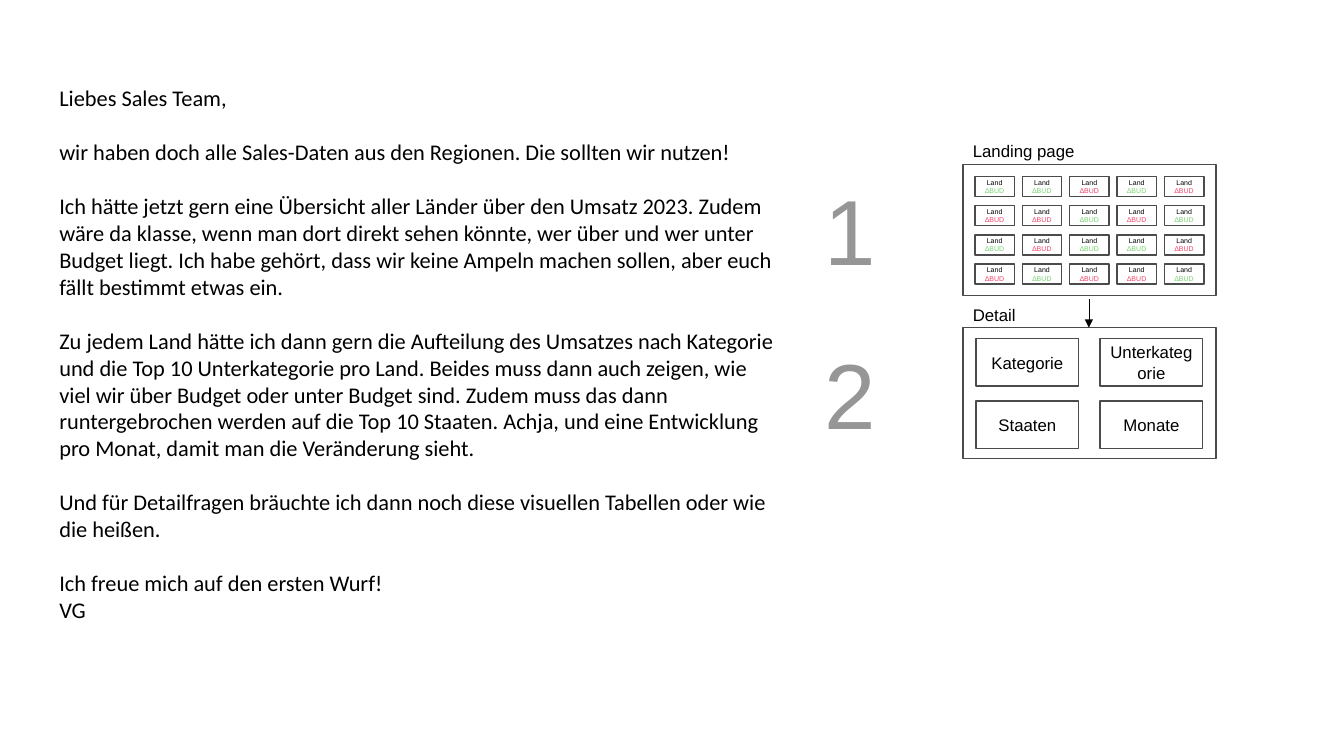
from dataclasses import dataclass

from lxml.etree import SubElement
from pptx import Presentation
from pptx.dml.color import RGBColor
from pptx.enum.shapes import MSO_CONNECTOR, MSO_SHAPE
from pptx.enum.text import MSO_ANCHOR, MSO_AUTO_SIZE as AutoSize, PP_ALIGN
from pptx.oxml.ns import qn
from pptx.shapes.shapetree import GroupShapes
from pptx.slide import Slide
from pptx.text.text import _Paragraph as Paragraph
from pptx.util import Inches, Pt

BLACK = RGBColor(0x00, 0x00, 0x00)
NUMBER_GREY = RGBColor(0x96, 0x96, 0x96)
FRAME_GREY = RGBColor(0x4B, 0x4B, 0x4B)
OVER_BUDGET = RGBColor(0x77, 0xD3, 0x6F)
UNDER_BUDGET = RGBColor(0xF2, 0x42, 0x69)

LETTER = [
    ["Liebes Sales Team,"],
    ["wir haben doch alle Sales-Daten aus den Regionen. Die sollten wir nutzen!"],
    ["Ich hätte jetzt gern eine Übersicht aller Länder über den Umsatz 2023. Zudem "
     "wäre da klasse, wenn man dort direkt sehen könnte, wer über und wer unter "
     "Budget liegt. Ich habe gehört, dass wir keine Ampeln machen sollen, aber euch "
     "fällt bestimmt etwas ein."],
    ["Zu jedem Land hätte ich dann gern die Aufteilung des Umsatzes nach Kategorie "
     "und die Top 10 Unterkategorie pro Land. Beides muss dann auch zeigen, wie "
     "viel wir über Budget oder unter Budget sind. Zudem muss das dann "
     "runtergebrochen werden auf die Top 10 Staaten. Achja, und eine Entwicklung "
     "pro Monat, damit man die Veränderung sieht."],
    ["Und für Detailfragen bräuchte ich dann noch diese visuellen Tabellen oder wie "
     "die heißen."],
    ["Ich freue mich auf den ersten Wurf!", "VG"],
]
COUNTRY_ROWS = ["++-+-", "--+-+", "+-++-", "-+--+"]
DETAIL_ROWS = [["Kategorie", "Unterkategorie"], ["Staaten", "Monate"]]


@dataclass(frozen=True)
class Piece:
    text: str
    size: float
    color: RGBColor = BLACK
    font: str = "Arial"


@dataclass(frozen=True)
class Area:
    left: float
    top: float
    width: float
    height: float

    def emu(self) -> list[int]:
        return [Inches(v) for v in (self.left, self.top, self.width, self.height)]


@dataclass(frozen=True)
class Page:
    number: str
    number_area: Area
    title: str
    title_area: Area
    frame: Area


LANDING = Page("1", Area(8.08, 1.67, 0.72, 1.21),
               "Landing page", Area(9.55, 1.35, 1.22, 0.3), Area(9.55, 1.63, 2.51, 1.3))
DETAIL = Page("2", Area(8.08, 3.3, 0.72, 1.21),
              "Detail", Area(9.55, 2.97, 0.63, 0.3), Area(9.55, 3.25, 2.51, 1.3))


def add_piece(paragraph: Paragraph, piece: Piece) -> None:
    run = paragraph.add_run()
    run.text = piece.text
    run.font.size = Pt(piece.size)
    run.font.name = piece.font
    run.font.color.rgb = piece.color


def add_label(shapes: GroupShapes, area: Area, piece: Piece) -> None:
    frame = shapes.add_textbox(*area.emu()).text_frame
    frame.word_wrap = False
    frame.auto_size = AutoSize.SHAPE_TO_FIT_TEXT
    add_piece(frame.paragraphs[0], piece)


def add_box(shapes: GroupShapes, area: Area, lines: list[Piece], inset: float = 0.1) -> None:
    box = shapes.add_shape(MSO_SHAPE.RECTANGLE, *area.emu())
    box.shadow.inherit = False
    box.fill.background()
    box.line.color.rgb = FRAME_GREY
    box.line.width = Pt(1)
    frame = box.text_frame
    frame.word_wrap = True
    frame.vertical_anchor = MSO_ANCHOR.MIDDLE
    frame.margin_left = frame.margin_right = Inches(inset)
    frame.margin_top = frame.margin_bottom = Inches(inset / 2)
    paragraph = frame.paragraphs[0]
    paragraph.alignment = PP_ALIGN.CENTER
    for index, piece in enumerate(lines):
        if index:
            paragraph.add_line_break()
        add_piece(paragraph, piece)


def add_page(slide: Slide, page: Page) -> GroupShapes:
    shapes = slide.shapes.add_group_shape().shapes
    add_label(shapes, page.number_area, Piece(page.number, 66, NUMBER_GREY))
    add_box(shapes, page.frame, [])
    add_label(shapes, page.title_area, Piece(page.title, 12))
    return shapes


def add_letter(slide: Slide) -> None:
    frame = slide.shapes.add_textbox(*Area(0.49, 0.79, 7.36, 5.49).emu()).text_frame
    frame.word_wrap = True
    for block_index, block in enumerate(LETTER):
        for line_index, line in enumerate(block):
            first = block_index == line_index == 0
            paragraph = frame.paragraphs[0] if first else frame.add_paragraph()
            if block_index and not line_index:
                paragraph.space_before = Pt(19.3)
            add_piece(paragraph, Piece(line, 16, font="Calibri"))


def add_arrow(shapes: GroupShapes) -> None:
    arrow = shapes.add_connector(MSO_CONNECTOR.STRAIGHT, Inches(10.8), Inches(2.97),
                                 Inches(10.8), Inches(3.25))
    arrow.line.color.rgb = BLACK
    arrow.line.width = Pt(0.5)
    SubElement(arrow.line._get_or_add_ln(), qn("a:tailEnd"), type="triangle")
    SubElement(arrow._element.spPr, qn("a:effectLst"))


def add_countries(shapes: GroupShapes) -> None:
    for row, signs in enumerate(COUNTRY_ROWS):
        for column, sign in enumerate(signs):
            color = OVER_BUDGET if sign == "+" else UNDER_BUDGET
            area = Area(9.67 + 0.47 * column, 1.75 + 0.29 * row, 0.39, 0.2)
            add_box(shapes, area, [Piece("Land", 5), Piece("∆BUD", 5, color)], inset=0)


def add_details(shapes: GroupShapes) -> None:
    for row, names in enumerate(DETAIL_ROWS):
        for column, name in enumerate(names):
            area = Area(9.68 + 1.23 * column, 3.36 + 0.62 * row, 1.02, 0.47)
            add_box(shapes, area, [Piece(name, 12)])


def main() -> None:
    deck = Presentation()
    deck.slide_width, deck.slide_height = Inches(13.33), Inches(7.5)
    slide = deck.slides.add_slide(deck.slide_layouts[6])
    add_letter(slide)
    add_countries(add_page(slide, LANDING))
    detail = add_page(slide, DETAIL)
    add_arrow(detail)
    add_details(detail)
    deck.save("out.pptx")


if __name__ == "__main__":
    main()
